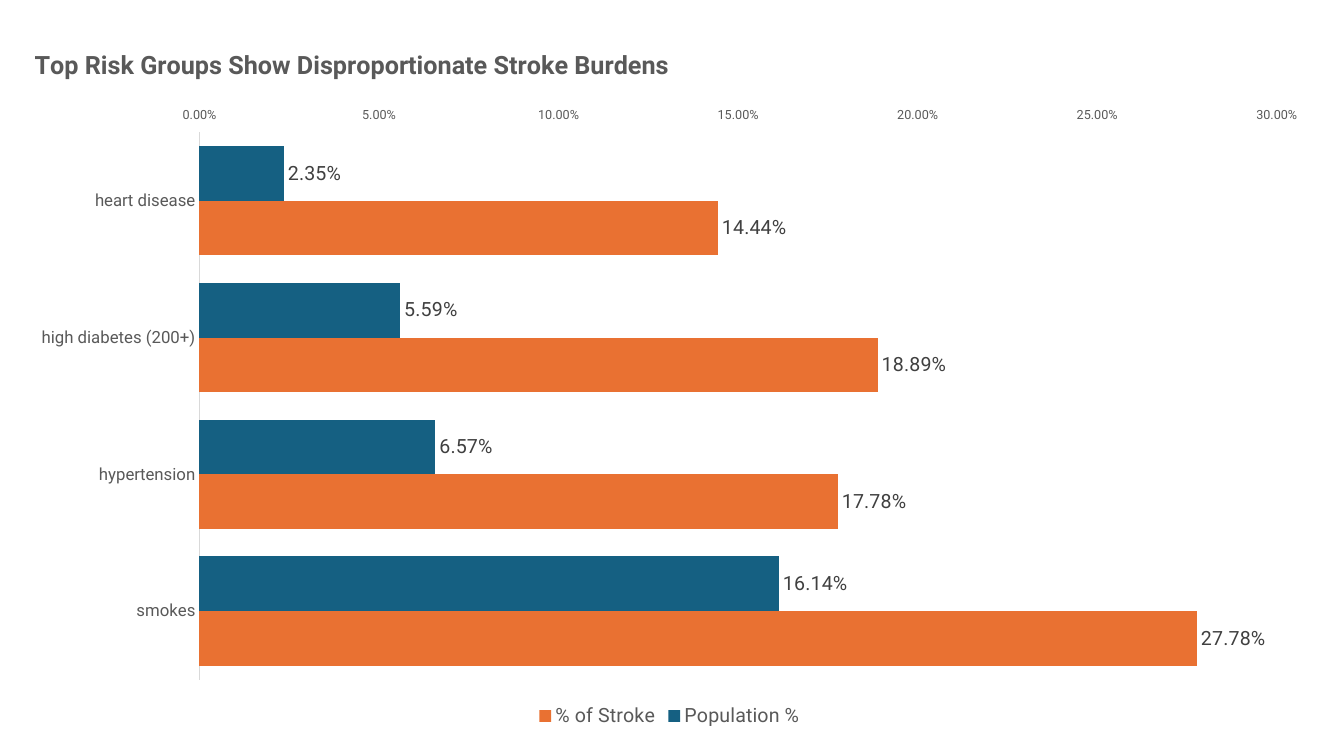
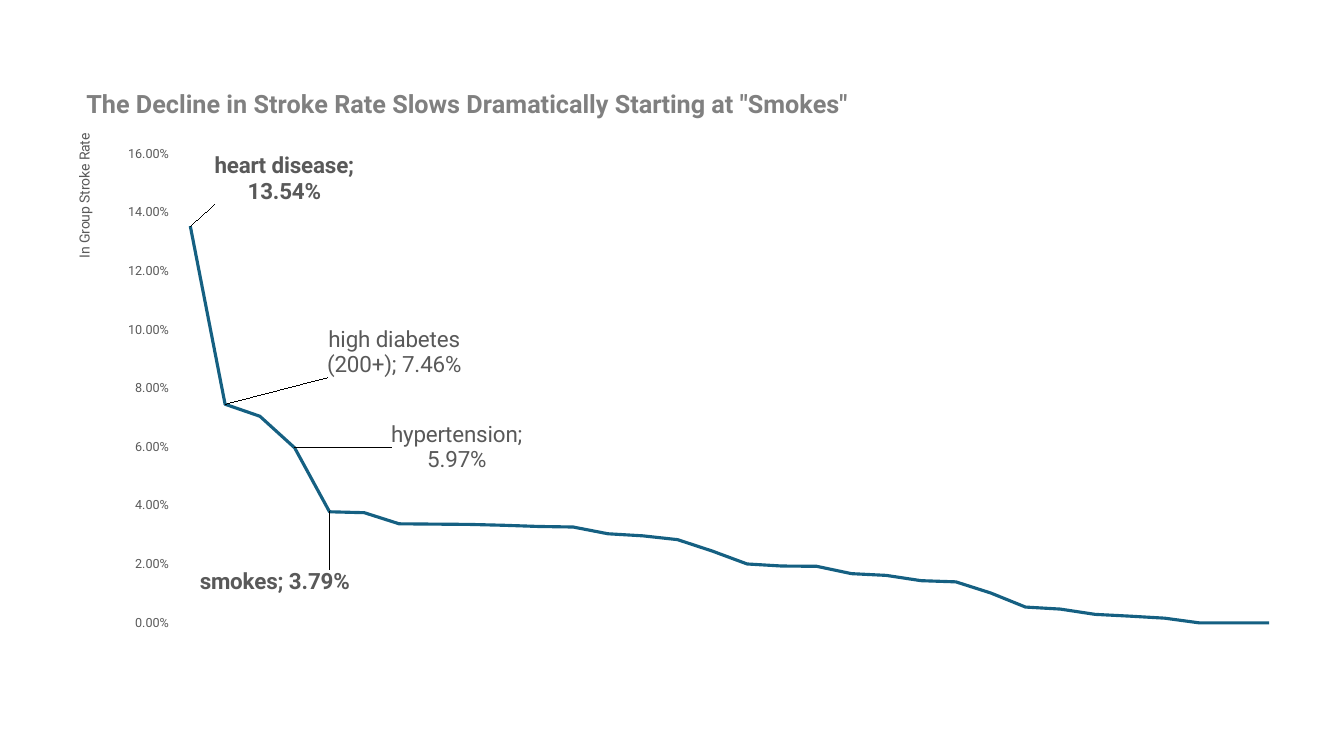
from pptx import Presentation
from pptx.chart.data import CategoryChartData
from pptx.dml.color import RGBColor
from pptx.enum.chart import XL_CHART_TYPE as ChartType
from pptx.enum.chart import XL_LABEL_POSITION as LabelPosition
from pptx.enum.chart import XL_LEGEND_POSITION as LegendPosition
from pptx.enum.chart import XL_TICK_LABEL_POSITION as TickLabelPosition
from pptx.enum.chart import XL_TICK_MARK as TickMark
from pptx.oxml import parse_xml
from pptx.oxml.ns import nsdecls
from pptx.util import Pt

BLACK = RGBColor(0x00, 0x00, 0x00)
INK = RGBColor(0x40, 0x40, 0x40)
SLATE = RGBColor(0x59, 0x59, 0x59)
GRAY = RGBColor(0x80, 0x80, 0x80)
RULE = RGBColor(0xD9, 0xD9, 0xD9)
BLUE = RGBColor(0x15, 0x60, 0x82)
ORANGE = RGBColor(0xE9, 0x71, 0x32)

PERCENT = "0.00%"
LABEL_WIDTH = 116
LABEL_HEIGHT = 45
C15 = "http://schemas.microsoft.com/office/drawing/2012/chart"
LABEL_EXTENSION = "{CE6537A1-D6FC-4f65-9D91-7224C49458BB}"

RISK_GROUPS = ["heart disease", "high diabetes (200+)", "hypertension", "smokes"]
BURDENS = [
    ("Population %", [0.0235, 0.0559, 0.0657, 0.1614], BLUE),
    ("% of Stroke", [0.1444, 0.1889, 0.1778, 0.2778], ORANGE),
]
STROKE_RATES = {
    "heart disease": 0.1354,
    "high diabetes (200+)": 0.0746,
    "pre-seniors (55-64)": 0.0705,
    "hypertension": 0.0597,
    "smokes": 0.0379,
    "formerly smoked": 0.0376,
    "older adults(45-54)": 0.0338,
    "obesity class 2": 0.0337,
    "married": 0.0336,
    "diabetic (126-199)": 0.0333,
    "obesity class 3": 0.0329,
    "overweight": 0.0327,
    "govt_job": 0.0304,
    "self-employed": 0.0297,
    "obesity class 1": 0.0284,
    "private": 0.0245,
    "pre-diabetic (100-125)": 0.0201,
    "no hypertension": 0.0194,
    "no heart disease": 0.0193,
    "normal (70-99)": 0.0168,
    "never smoked": 0.0162,
    "hypoglycemic (<70)": 0.0144,
    "unknown": 0.014,
    "midlife adults(34-44)": 0.0102,
    "never married": 0.0054,
    "normal weight": 0.0047,
    "children": 0.0029,
    "children(0-17)": 0.0023,
    "adults(25-34)": 0.0016,
    "young adult(18-24)": 0,
    "never_worked": 0,
    "underweight": 0,
}
CALLOUTS = {
    "heart disease": (14.5, -33.5, True),
    "high diabetes (200+)": (70, -37, False),
    "hypertension": (66, -0.5, False),
    "smokes": (-95.5, 50, True),
}


class ChartDeck:
    font_name = "Roboto"

    def __init__(self):
        self.presentation = Presentation()
        self.presentation.slide_width = Pt(960)
        self.presentation.slide_height = Pt(540)
        self.slide = None
        self.chart = None
        self.frame = None

    def add_slide(self):
        self.slide = self.presentation.slides.add_slide(self.presentation.slide_layouts[6])

    def set_formats(self, target, formats):
        for name, value in formats.items():
            setattr(target, name, value)

    def style_font(self, font, size, color, **formats):
        self.set_formats(font, {"name": self.font_name, "size": Pt(size), **formats})
        font.color.rgb = color

    def add_chart(self, chart_type, frame, categories, series_rows):
        data = CategoryChartData(number_format=PERCENT)
        data.categories = categories
        for name, values, color in series_rows:
            data.add_series(name, values)
        self.frame = frame
        self.chart = self.slide.shapes.add_chart(chart_type, *map(Pt, frame), data).chart
        self.style_font(self.chart.font, 10, BLACK)
        self.chart.plots[0].vary_by_categories = False
        self.chart.has_legend = False
        return self.chart.plots[0]

    def place(self, parent, index, values, mode="", target=""):
        for layout in parent.xpath("c:layout"):
            parent.remove(layout)
        modes = "".join(f'<c:{axis}Mode val="{mode}"/>' for axis in "xy" if mode)
        target = f'<c:layoutTarget val="{target}"/>' if target else ""
        scales = self.frame[2:] * 2
        numbers = "".join(
            f'<c:{key} val="{value / scale:.5f}"/>'
            for key, value, scale in zip("xywh", values, scales)
        )
        parent.insert(index, parse_xml(
            f'<c:layout {nsdecls("c")}><c:manualLayout>{target}{modes}{numbers}'
            "</c:manualLayout></c:layout>"
        ))

    def place_on_slide(self, parent, index, left, top, *size, target=""):
        values = (left - self.frame[0], top - self.frame[1], *size)
        self.place(parent, index, values, "edge", target)

    def set_plot_area(self, left, top, width, height):
        area = self.chart.element.xpath(".//c:plotArea")[0]
        self.place_on_slide(area, 0, left, top, width, height, target="inner")

    def add_title(self, owner, query, text, left, top, size, color, bold):
        frame = owner.text_frame
        frame.text = text
        self.style_font(frame.paragraphs[0].runs[0].font, size, color, bold=bold)
        title = self.chart.element.xpath(query)[0]
        self.place_on_slide(title, 1, left, top)
        return title

    def add_chart_title(self, text, left, top, color):
        self.chart.has_title = True
        title = self.chart.chart_title
        self.add_title(title, "c:chart/c:title", text, left, top, 18, color, True)

    def add_value_title(self, text, left, top):
        axis = self.chart.value_axis
        axis.has_title = True
        query = ".//c:valAx/c:title"
        title = self.add_title(axis.axis_title, query, text, left, top, 10, SLATE, False)
        body = title.xpath(".//a:bodyPr")[0]
        body.set("rot", "-5400000")
        body.set("vert", "horz")

    def style_value_axis(self, maximum, step, tick_mark):
        axis = self.chart.value_axis
        self.set_formats(axis, {
            "minimum_scale": 0,
            "maximum_scale": maximum,
            "major_unit": step,
            "has_major_gridlines": False,
            "major_tick_mark": tick_mark,
            "minor_tick_mark": TickMark.NONE,
            "tick_label_position": TickLabelPosition.NEXT_TO_AXIS,
        })
        axis.tick_labels.number_format = PERCENT
        axis.tick_labels.number_format_is_linked = False
        axis.format.line.fill.background()
        self.style_font(axis.tick_labels.font, 9, SLATE)

    def style_category_axis(self):
        axis = self.chart.category_axis
        axis.reverse_order = True
        axis.major_tick_mark = TickMark.NONE
        axis.format.line.color.rgb = RULE
        axis.format.line.width = Pt(0.75)
        self.style_font(axis.tick_labels.font, 12, SLATE)

    def add_legend(self):
        self.chart.has_legend = True
        legend = self.chart.legend
        legend.position = LegendPosition.BOTTOM
        legend.include_in_layout = False
        self.style_font(legend.font, 14, SLATE)

    def add_bar_labels(self, series):
        self.set_formats(series.data_labels, {
            "show_value": True,
            "position": LabelPosition.OUTSIDE_END,
            "number_format": PERCENT,
            "number_format_is_linked": False,
        })
        self.style_font(series.data_labels.font, 14, INK)

    def add_callout(self, series, index, shift_left, shift_top, bold):
        label = series.points[index].data_label
        self.style_font(label.font, 16, SLATE, bold=bold)
        label.position = LabelPosition.RIGHT
        element = self.chart.element.xpath(f'.//c:dLbl[c:idx/@val="{index}"]')[0]
        self.place(element, 1, (shift_left, shift_top))
        element.xpath("c:showCatName")[0].set("val", "1")
        element.xpath(".//a:bodyPr")[0].set("wrap", "square")
        width = LABEL_WIDTH / self.frame[2]
        height = LABEL_HEIGHT / self.frame[3]
        element.append(parse_xml(
            f'<c:extLst {nsdecls("c")}><c:ext uri="{LABEL_EXTENSION}" xmlns:c15="{C15}">'
            f'<c15:layout><c:manualLayout><c:w val="{width:.5f}"/><c:h val="{height:.5f}"/>'
            "</c:manualLayout></c15:layout></c:ext></c:extLst>"
        ))

    def remove_leader_lines(self):
        for labels in self.chart.element.xpath(".//c:dLbls"):
            for leader in labels.xpath("c:showLeaderLines"):
                labels.remove(leader)
            labels.append(parse_xml(
                f'<c:extLst {nsdecls("c")}><c:ext uri="{LABEL_EXTENSION}" xmlns:c15="{C15}">'
                '<c15:showLeaderLines val="0"/></c:ext></c:extLst>'
            ))


def build_burden_slide(deck):
    deck.add_slide()
    plot = deck.add_chart(ChartType.BAR_CLUSTERED, (11, 25, 934.5, 498), RISK_GROUPS, BURDENS)
    plot.gap_width = 50
    plot.overlap = 0
    deck.add_chart_title("Top Risk Groups Show Disproportionate Stroke Burdens", 21.5, 31, SLATE)
    deck.set_plot_area(142.5, 94.5, 769.5, 391)
    deck.style_category_axis()
    deck.style_value_axis(0.3, 0.05, TickMark.OUTSIDE)
    deck.add_legend()
    for series, (name, values, color) in zip(plot.series, BURDENS):
        series.format.fill.solid()
        series.format.fill.fore_color.rgb = color
        deck.add_bar_labels(series)
    deck.remove_leader_lines()


def build_decline_slide(deck):
    deck.add_slide()
    groups = list(STROKE_RATES)
    rows = [("Series 1", list(STROKE_RATES.values()), BLUE)]
    plot = deck.add_chart(ChartType.LINE, (43, 57, 893.5, 402), groups, rows)
    title = 'The Decline in Stroke Rate Slows Dramatically Starting at "Smokes"'
    deck.add_chart_title(title, 58.5, 59, GRAY)
    deck.set_plot_area(123.5, 110, 795.5, 335)
    deck.chart.category_axis.visible = False
    deck.style_value_axis(0.16, 0.02, TickMark.NONE)
    deck.add_value_title("In Group Stroke Rate", 52, 93.5)
    series = plot.series[0]
    series.smooth = False
    series.format.line.color.rgb = BLUE
    series.format.line.width = Pt(2.25)
    series.data_labels.show_value = False
    for group, callout in CALLOUTS.items():
        deck.add_callout(series, groups.index(group), *callout)
    deck.remove_leader_lines()


def main():
    deck = ChartDeck()
    build_burden_slide(deck)
    build_decline_slide(deck)
    deck.presentation.save("out.pptx")


if __name__ == "__main__":
    main()
